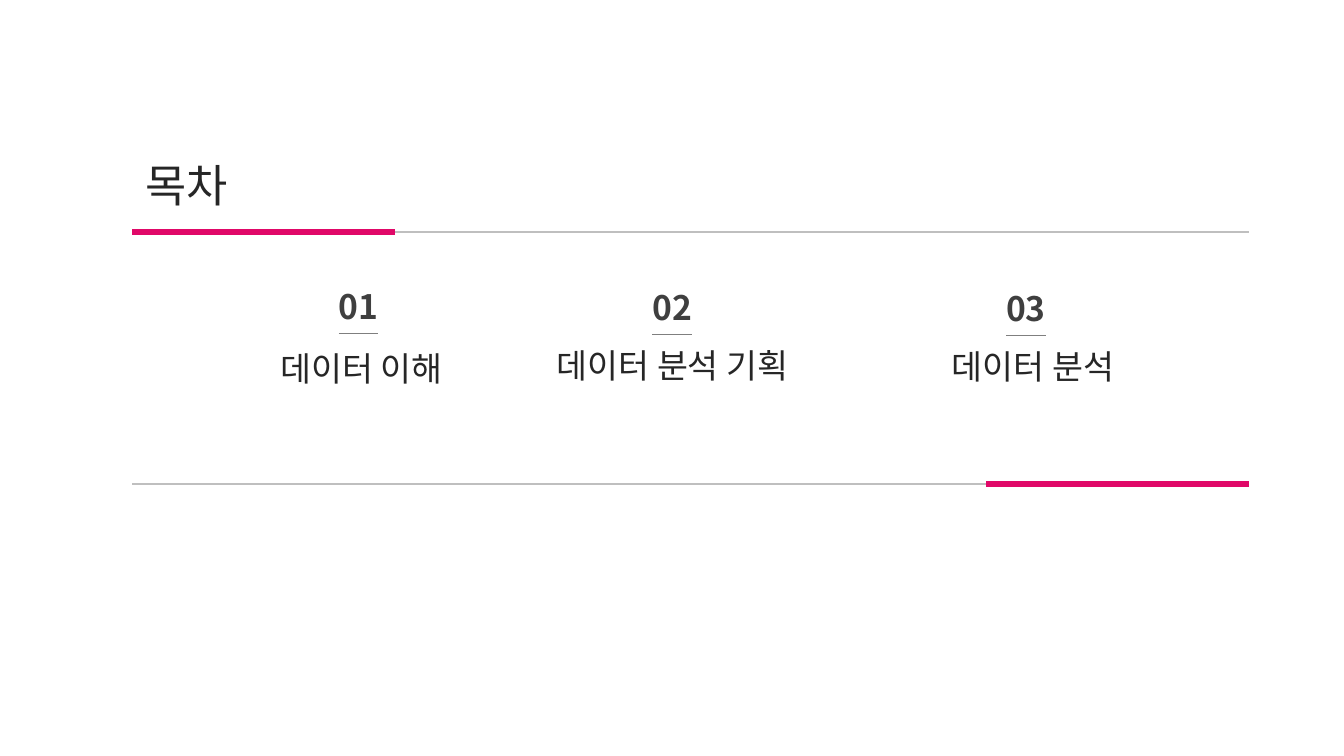
from collections import namedtuple
from dataclasses import dataclass

from lxml import etree
from pptx import Presentation
from pptx.dml.color import RGBColor
from pptx.enum.shapes import MSO_CONNECTOR
from pptx.enum.text import MSO_ANCHOR, PP_ALIGN
from pptx.oxml.ns import qn
from pptx.util import Inches, Pt

STRAIGHT = MSO_CONNECTOR.STRAIGHT
TOP = MSO_ANCHOR.TOP
LEFT, CENTER = PP_ALIGN.LEFT, PP_ALIGN.CENTER
SLIDE_W, SLIDE_H = 13.33, 7.5
Box = namedtuple("Box", "x y w h")


@dataclass(frozen=True)
class Theme:
    font: str = "Noto Sans CJK KR"
    ink: str = "262626"
    number: str = "3F3F3F"
    underline: str = "7F7F7F"
    rule: str = "BFBFBF"
    accent: str = "E00868"
    title_size: int = 32
    body_size: int = 24
    spacing: float = 0.9
    inset_x: float = 0.13
    inset_y: float = 0.07


THEME = Theme()


def add_text(slide, box, text, size=THEME.body_size, color=THEME.ink,
             bold=False, align=LEFT):
    sp = slide.shapes.add_textbox(*map(Inches, box))
    tf = sp.text_frame
    tf.word_wrap = True
    tf.vertical_anchor = TOP
    tf.margin_left = tf.margin_right = Inches(THEME.inset_x)
    tf.margin_top = tf.margin_bottom = Inches(THEME.inset_y)
    p = tf.paragraphs[0]
    p.alignment = align
    p.line_spacing = THEME.spacing
    r = p.add_run()
    r.text = text
    r.font.name = THEME.font
    r.font.size = Pt(size)
    r.font.bold = bold
    r.font.color.rgb = RGBColor.from_string(color)
    # Hangul takes the East Asian typeface
    ea = etree.SubElement(r.font._element, qn("a:ea"))
    ea.set("typeface", THEME.font)


def add_rule(slide, x, y, width, color, weight):
    line = slide.shapes.add_connector(
        STRAIGHT, Inches(x), Inches(y), Inches(x + width), Inches(y))
    line.line.color.rgb = RGBColor.from_string(color)
    line.line.width = Pt(weight)
    etree.SubElement(line._element.spPr, qn("a:effectLst"))


def add_divider(slide, box, y, accent_right=False):
    """Grey rule with an accent bar over one end of the box."""
    grey, bar = box.w * 0.878, box.w * 0.2355
    right = box.x + box.w
    grey_x, bar_x = (box.x, right - bar) if accent_right else (right - grey, box.x)
    add_rule(slide, grey_x, y, grey, THEME.rule, 1.5)
    add_rule(slide, bar_x, y, bar, THEME.accent, 4.5)


def add_section(slide, box, number, label, number_x, label_y):
    """Underlined number above a centred label."""
    number_w = 0.67
    add_text(slide, Box(box.x + number_x, box.y, number_w, 0.54), number,
             color=THEME.number, bold=True)
    add_rule(slide, box.x + number_x + THEME.inset_x, box.y + 0.5,
             number_w - 2 * THEME.inset_x - 0.02, THEME.underline, 1)
    add_text(slide, Box(box.x, box.y + label_y, box.w, box.h - label_y), label,
             align=CENTER)


def build_contents(slide, box):
    # Title and the two dividers
    add_text(slide, Box(box.x, box.y - 0.74, 2.47, 0.6), "목차",
             size=THEME.title_size)
    add_divider(slide, box, box.y)
    add_divider(slide, box, box.y + box.h, accent_right=True)

    # Sections: number, label, left, top, width, number offset, label drop
    sections = [
        ("01", "데이터 이해", 1.17, 0.51, 2.21, 0.75, 0.62),
        ("02", "데이터 분석 기획", 3.89, 0.52, 2.94, 1.14, 0.58),
        ("03", "데이터 분석", 7.87, 0.53, 2.13, 0.67, 0.58),
    ]
    for number, label, left, top, width, number_x, label_y in sections:
        area = Box(box.x + left, box.y + top, width, 1.13)
        add_section(slide, area, number, label, number_x, label_y)


def main():
    prs = Presentation()
    prs.slide_width, prs.slide_height = Inches(SLIDE_W), Inches(SLIDE_H)
    slide = prs.slides.add_slide(prs.slide_layouts[6])
    build_contents(slide, Box(1.31, 2.3, 11.08, SLIDE_H / 3))
    prs.save("out.pptx")


if __name__ == "__main__":
    main()
